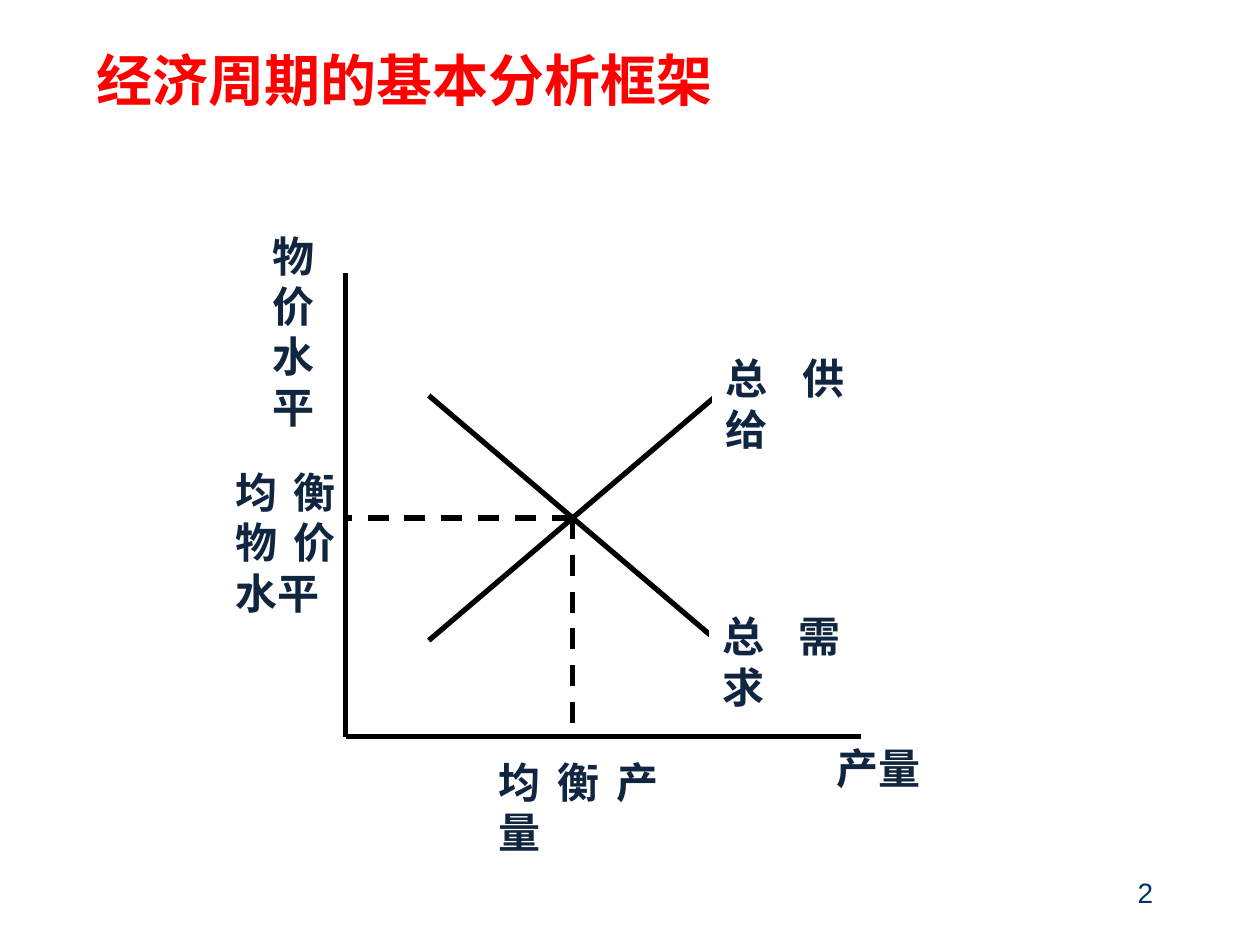
"""Build the slide on the basic framework for analysing business cycles."""
from dataclasses import dataclass

from lxml import etree
from pptx import Presentation
from pptx import util as u
from pptx.dml.color import RGBColor
from pptx.enum import dml, shapes, text
from pptx.oxml import ns


@dataclass(frozen=True)
class Theme:
    title: RGBColor = RGBColor(0xFF, 0x00, 0x00)
    label: RGBColor = RGBColor(0x10, 0x25, 0x3F)
    number: RGBColor = RGBColor(0x00, 0x33, 0x66)
    ink: RGBColor = RGBColor(0x00, 0x00, 0x00)
    paper: RGBColor = RGBColor(0xFF, 0xFF, 0xFF)
    title_size: int = 32
    label_size: int = 24
    number_size: int = 16
    cjk: str = "Noto Sans CJK SC"
    latin: str = "Arial"


theme = Theme()
deck = Presentation()
deck.slide_width, deck.slide_height = u.Pt(720), u.Pt(540)
slide = deck.slides.add_slide(deck.slide_layouts[6])


def write(holder, lines, size, color, name, bold, align, anchor):
    frame = holder.text_frame
    frame.word_wrap = True
    frame.vertical_anchor = anchor
    frame.text = lines
    for paragraph in frame.paragraphs:
        paragraph.alignment = align
        font = paragraph.font
        font.size, font.bold, font.name = u.Pt(size), bold, name
        font.color.rgb = color
        latin = paragraph._p.pPr.find(".//" + ns.qn("a:latin"))
        east_asian = etree.Element(ns.qn("a:ea"), typeface=name)
        latin.addnext(east_asian)


def draw_line(start, end, dashed=False):
    line = slide.shapes.add_connector(
        shapes.MSO_CONNECTOR.STRAIGHT, *(u.Pt(value) for value in (*start, *end)))
    line.line.color.rgb = theme.ink
    line.line.width = u.Pt(3)
    if dashed:
        line.line.dash_style = dml.MSO_LINE.DASH
    etree.SubElement(line._element.spPr, ns.qn("a:effectLst"))


page_number = slide.shapes.add_textbox(u.Pt(516), u.Pt(492), u.Pt(150), u.Pt(36))
write(page_number, "2", theme.number_size, theme.number, theme.latin, False,
      text.PP_ALIGN.RIGHT, text.MSO_ANCHOR.MIDDLE)

title = slide.shapes.add_textbox(u.Pt(48), u.Pt(9.5), u.Pt(612), u.Pt(72))
write(title, "经济周期的基本分析框架", theme.title_size, theme.title, theme.cjk, True,
      text.PP_ALIGN.LEFT, text.MSO_ANCHOR.MIDDLE)

axis_x, axis_y = 197.5, 421
left, right, top, bottom = 245, 409.5, 226, 366
equilibrium = ((left + right) / 2, (top + bottom) / 2)

draw_line((axis_x, axis_y), (492, axis_y))
draw_line((axis_x, axis_y), (axis_x, 156))
draw_line((left, top), (right, bottom))
draw_line((right, top), (left, bottom))
draw_line(equilibrium, (axis_x, equilibrium[1]), dashed=True)
draw_line(equilibrium, (equilibrium[0], axis_y), dashed=True)

labels = [
    ("总供给", 407.5, 198, 82, 40, True),
    ("总需求", 405.5, 345.5, 82, 40, True),
    ("产量", 471, 421, 70.5, 40, False),
    ("均衡产量", 277.5, 428.5, 106, 40, True),
    ("均衡物价水平", 127.5, 263, 71, 67, False),
    ("物价\n水平", 148.5, 128, 59, 67, False),
]
for wording, x, y, width, height, opaque in labels:
    box = tuple(u.Pt(value) for value in (x, y, width, height))
    if opaque:
        label = slide.shapes.add_shape(shapes.MSO_SHAPE.RECTANGLE, *box)
        label.shadow.inherit = False
        label.fill.solid()
        label.fill.fore_color.rgb = theme.paper
        label.line.color.rgb = theme.paper
        label.line.width = u.Pt(0.75)
    else:
        label = slide.shapes.add_textbox(*box)
    write(label, wording, theme.label_size, theme.label, theme.cjk, True,
          text.PP_ALIGN.JUSTIFY, text.MSO_ANCHOR.TOP)

deck.save("out.pptx")
